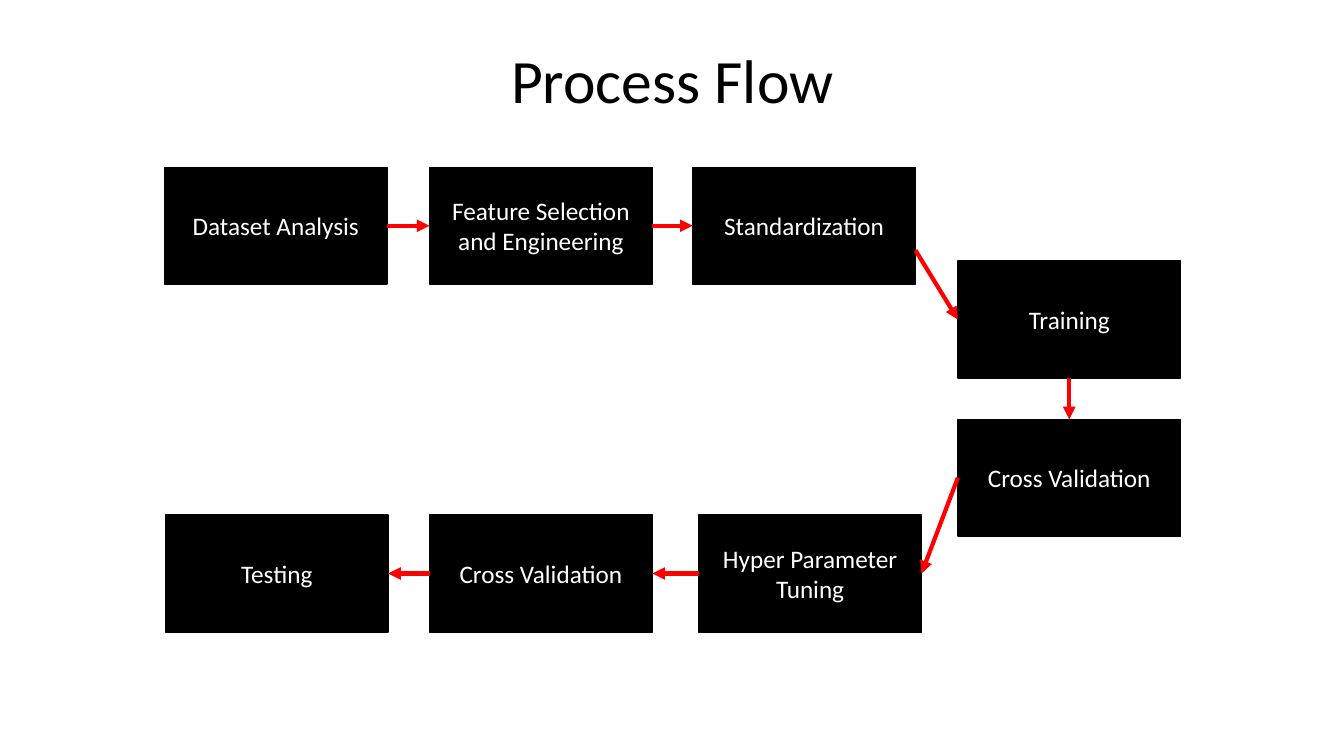
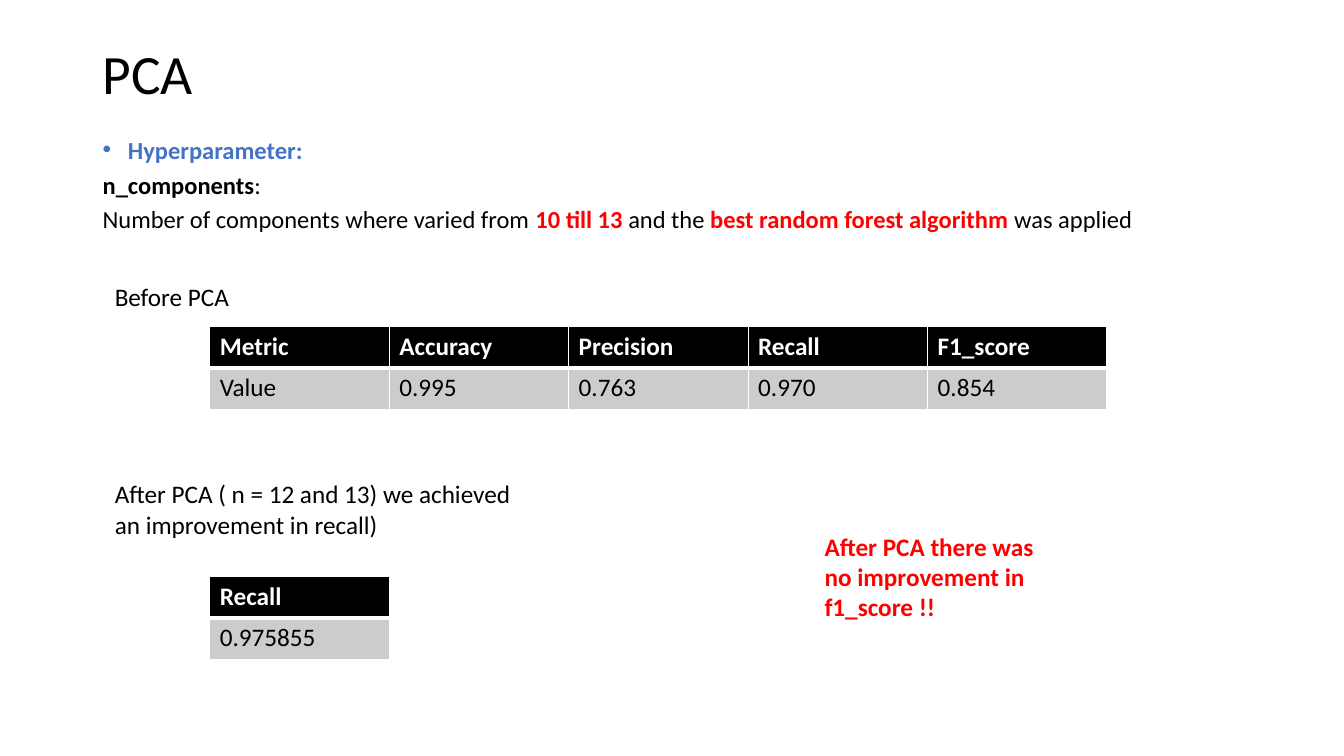
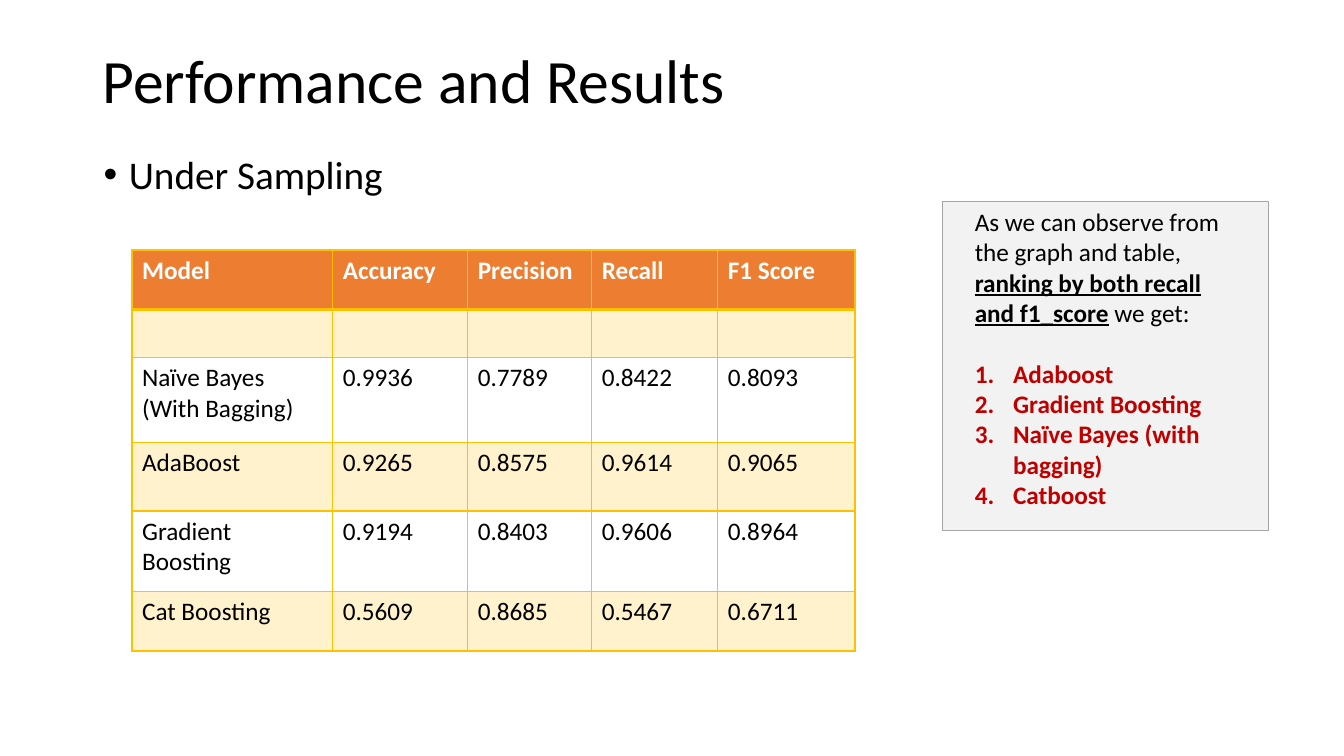
from itertools import product

from lxml.etree import SubElement
from pptx import Presentation
from pptx.dml.color import RGBColor
from pptx.enum.shapes import MSO_CONNECTOR, MSO_SHAPE
from pptx.enum.text import MSO_ANCHOR, PP_ALIGN
from pptx.oxml.ns import qn
from pptx.util import Inches, Pt

# Shared style
FONT = "Calibri"
BLACK, WHITE, RED = "000000", "FFFFFF", "FF0000"
BLUE, CRIMSON, GREY = "4472C4", "C00000", "CCCCCC"
ORANGE, GOLD, CREAM = "ED7D31", "FFC000", "FFF2CC"
STRONG = {"bold": True, "color": RED}

# Process flow: text, left, top
BOX_W, BOX_H = 2.21, 1.16
STEPS = [
    ("Dataset Analysis", 1.63, 1.66),
    ("Feature Selection and Engineering", 4.26, 1.66),
    ("Standardization", 6.87, 1.66),
    ("Training", 9.5, 2.59),
    ("Cross Validation", 9.5, 4.16),
    ("Hyper Parameter Tuning", 6.93, 5.11),
    ("Cross Validation", 4.26, 5.11),
    ("Testing", 1.64, 5.11),
]
# Arrow from each step to the next: start and end as fractions of the boxes
LEFT, RIGHT, TOP, BOTTOM = (0, 0.5), (1, 0.5), (0.5, 0), (0.5, 1)
LINKS = [(RIGHT, LEFT), (RIGHT, LEFT), ((1, 0.71), LEFT), (BOTTOM, TOP),
         (LEFT, RIGHT), (LEFT, RIGHT), (LEFT, RIGHT)]

# PCA
PARAMS = [
    [("Hyperparameter:", {"bold": True, "color": BLUE})],
    [("n_components", {"bold": True}), (":", {})],
    [("Number of components where varied from ", {}), ("10 till 13 ", STRONG),
     ("and the ", {}), ("best random forest algorithm ", STRONG),
     ("was applied", {})],
]
BEFORE = [["Metric", "Accuracy", "Precision", "Recall", "F1_score"],
          ["Value", "0.995", "0.763", "0.970", "0.854"]]
AFTER = [["Recall"], ["0.975855"]]
NOTES = [
    ("Before PCA", (1.04, 2.74, 2.46, 0.4), {}),
    ("After PCA ( n = 12 and 13) we achieved an improvement in recall)",
     (1.04, 4.7, 4.22, 0.71), {}),
    ("After PCA there was no improvement in f1_score !!",
     (8.08, 5.22, 2.46, 1.01), STRONG),
]

# Results
SCORES = [
    ["Model", "Accuracy", "Precision", "Recall", "F1 Score"],
    [""] * 5,
    ["Naïve Bayes\n(With Bagging)", "0.9936", "0.7789", "0.8422", "0.8093"],
    ["AdaBoost", "0.9265", "0.8575", "0.9614", "0.9065"],
    ["Gradient Boosting", "0.9194", "0.8403", "0.9606", "0.8964"],
    ["Cat Boosting", "0.5609", "0.8685", "0.5467", "0.6711"],
]
COLS = [1.99, 1.34, 1.23, 1.25, 1.36]
ROWS = [0.59, 0.48, 0.84, 0.68, 0.8, 0.59]
INTRO = [("As we can observe from the graph and table, ", {}),
         ("ranking by both recall and f1_score",
          {"bold": True, "underline": True}),
         (" we get:", {})]
RANKS = ["Adaboost", "Gradient Boosting", "Naïve Bayes (with bagging)",
         "Catboost"]


def rgb(color):
    return RGBColor.from_string(color)


def style(run, size=18, color=BLACK, bold=False, underline=False):
    font = run.font
    font.name, font.size, font.bold = FONT, Pt(size), bold
    font.underline = underline
    font.color.rgb = rgb(color)


def write(frame, paras, size=18, space=None, before=0):
    """Fill a frame with paragraphs, each a list of (text, style) runs."""
    frame.word_wrap = True
    for i, parts in enumerate(paras):
        para = frame.add_paragraph() if i else frame.paragraphs[0]
        para.space_before = Pt(before)
        if space:
            para.line_spacing = space
        for text, look in parts:
            run = para.add_run()
            run.text = text
            style(run, size, **look)
    return frame.paragraphs


def add_text(slide, at, paras, **options):
    box = slide.shapes.add_textbox(*map(Inches, at))
    write(box.text_frame, paras, **options)
    return box.text_frame


def mark(para, indent, tag, **attrs):
    """Give a paragraph a hanging bullet or number."""
    props = para._p.get_or_add_pPr()
    props.set("marL", str(Inches(indent)))
    props.set("indent", str(-Inches(indent)))
    SubElement(props, qn("a:buFont"), typeface="Arial" if tag == "a:buChar"
               else "+mj-lt")
    SubElement(props, qn(tag), **attrs)


def add_title(slide, text, height=0.85, size=44, align=PP_ALIGN.LEFT):
    frame = add_text(slide, (0.92, 0.4, 11.5, height), [[(text, {})]],
                     size=size, space=0.9)
    frame.vertical_anchor = MSO_ANCHOR.MIDDLE
    frame.paragraphs[0].alignment = align


def add_box(slide, at, fill, line, width):
    box = slide.shapes.add_shape(MSO_SHAPE.RECTANGLE, *map(Inches, at))
    box.shadow.inherit = False
    box.fill.solid()
    box.fill.fore_color.rgb = rgb(fill)
    box.line.color.rgb = rgb(line)
    box.line.width = Pt(width)
    return box


def add_arrow(slide, start, end):
    line = slide.shapes.add_connector(MSO_CONNECTOR.STRAIGHT,
                                      *map(Inches, start + end))
    line.line.color.rgb = rgb(RED)
    line.line.width = Pt(3)
    SubElement(line.line._get_or_add_ln(), qn("a:tailEnd"), type="triangle")
    SubElement(line._element.spPr, qn("a:effectLst"))


def edge(cell, side, color, width):
    line = SubElement(cell._tc.get_or_add_tcPr(), qn("a:ln" + side),
                      w=str(Pt(width)))
    fill = SubElement(line, qn("a:solidFill"))
    SubElement(fill, qn("a:srgbClr"), val=color)


def add_grid(slide, left, top, data, cols, rows, head, bands, line, rule):
    """Table with a header fill, alternating bands and a header rule."""
    table = slide.shapes.add_table(
        len(rows), len(cols),
        *map(Inches, (left, top, sum(cols), sum(rows)))).table
    for col, width in zip(table.columns, cols):
        col.width = Inches(width)
    for row, height in zip(table.rows, rows):
        row.height = Inches(height)
    for r, c in product(range(len(rows)), range(len(cols))):
        cell = table.cell(r, c)
        widths = {"L": 1, "R": 1, "T": rule if r == 1 else 1,
                  "B": rule if r == 0 else 1}
        for side, width in widths.items():
            edge(cell, side, line, width)
        cell.fill.solid()
        cell.fill.fore_color.rgb = rgb(bands[(r - 1) % len(bands)] if r
                                       else head)
        cell.text_frame.text = data[r][c]
        for para in cell.text_frame.paragraphs:
            for run in para.runs:
                style(run, color=BLACK if r else WHITE, bold=r == 0)


def flow_slide(slide):
    add_title(slide, "Process Flow", align=PP_ALIGN.CENTER)
    for text, left, top in STEPS:
        box = add_box(slide, (left, top, BOX_W, BOX_H), BLACK, BLACK, 1)
        para = write(box.text_frame, [[(text, {"color": WHITE})]])[0]
        para.alignment = PP_ALIGN.CENTER
        box.text_frame.vertical_anchor = MSO_ANCHOR.MIDDLE
    for pair, spots in zip(zip(STEPS, STEPS[1:]), LINKS):
        ends = [(left + x * BOX_W, top + y * BOX_H)
                for (_, left, top), (x, y) in zip(pair, spots)]
        add_arrow(slide, *ends)


def pca_slide(slide):
    add_title(slide, "PCA", 0.72, 39.6)
    body = add_text(slide, (0.92, 1.37, 11.5, 1.11), PARAMS,
                    size=17.5, space=0.7, before=10)
    mark(body.paragraphs[0], 0.25, "a:buChar", char="•")
    for top, data in ((3.24, BEFORE), (5.72, AFTER)):
        add_grid(slide, 2.08, top, data, [1.78] * len(data[0]), [0.41] * 2,
                 BLACK, [GREY], WHITE, 3)
    for text, at, look in NOTES:
        add_text(slide, at, [[(text, look)]])


def result_slide(slide):
    add_title(slide, "Performance and Results")
    body = add_text(slide, (0.93, 1.49, 4.56, 0.6),
                    [[("Under Sampling", {})]], size=28, space=0.9, before=10)
    mark(body.paragraphs[0], 0.25, "a:buChar", char="•")
    add_grid(slide, 1.31, 2.48, SCORES, COLS, ROWS,
             ORANGE, [CREAM, WHITE], GOLD, 2)
    # Ranking panel
    add_box(slide, (9.35, 2, 3.23, 3.26), "F2F2F2", "A5A5A5", 0.5)
    ranks = [[(name, {"bold": True, "color": CRIMSON})] for name in RANKS]
    frame = add_text(slide, (9.57, 2, 2.86, 3.26), [INTRO] + ranks)
    frame.paragraphs[1].space_before = Pt(22)
    for para in frame.paragraphs[1:]:
        mark(para, 0.38, "a:buAutoNum", type="arabicPeriod")


def main():
    deck = Presentation()
    deck.slide_width, deck.slide_height = Inches(13.33), Inches(7.5)
    for build in (flow_slide, pca_slide, result_slide):
        build(deck.slides.add_slide(deck.slide_layouts[6]))
    deck.save("out.pptx")


if __name__ == "__main__":
    main()
